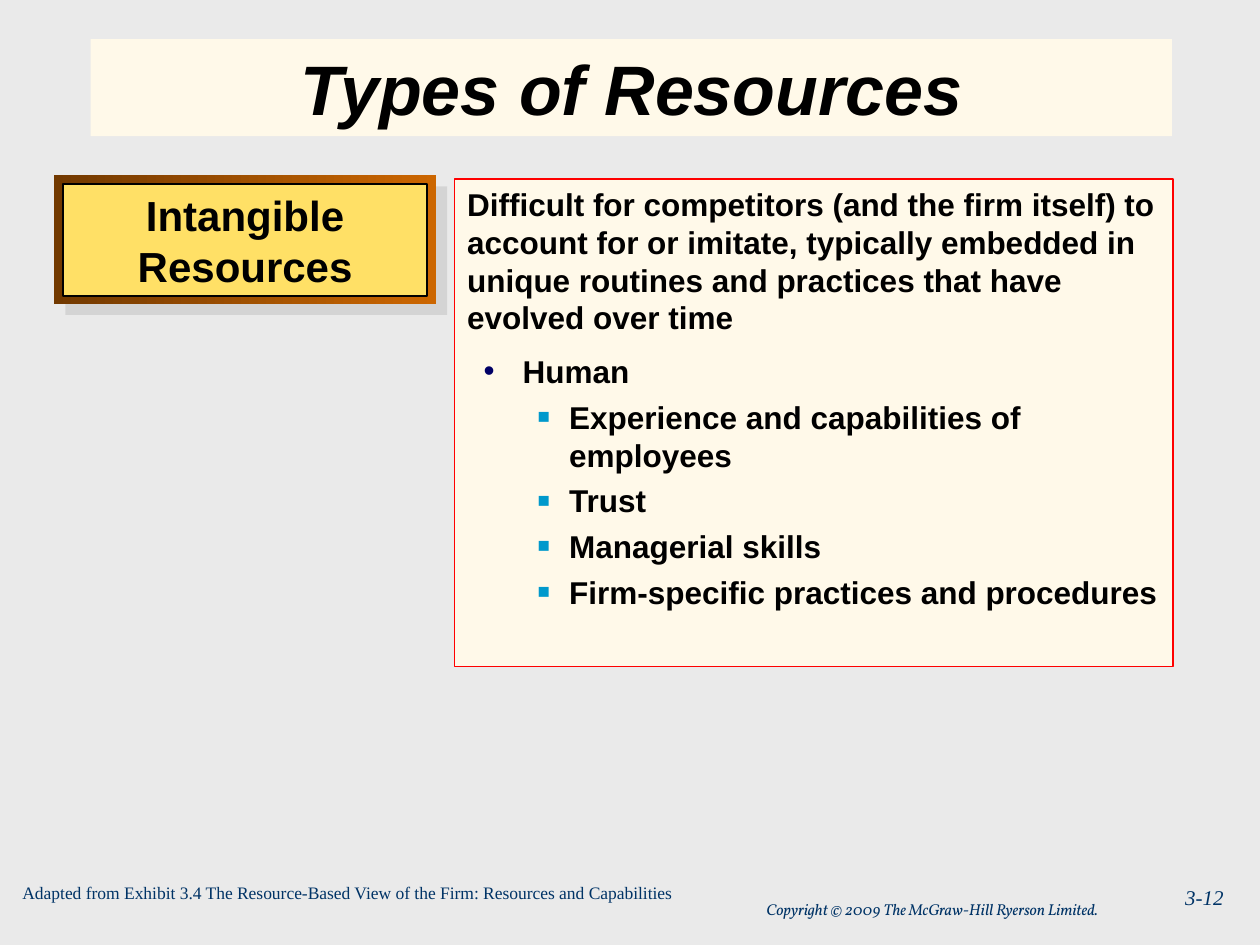
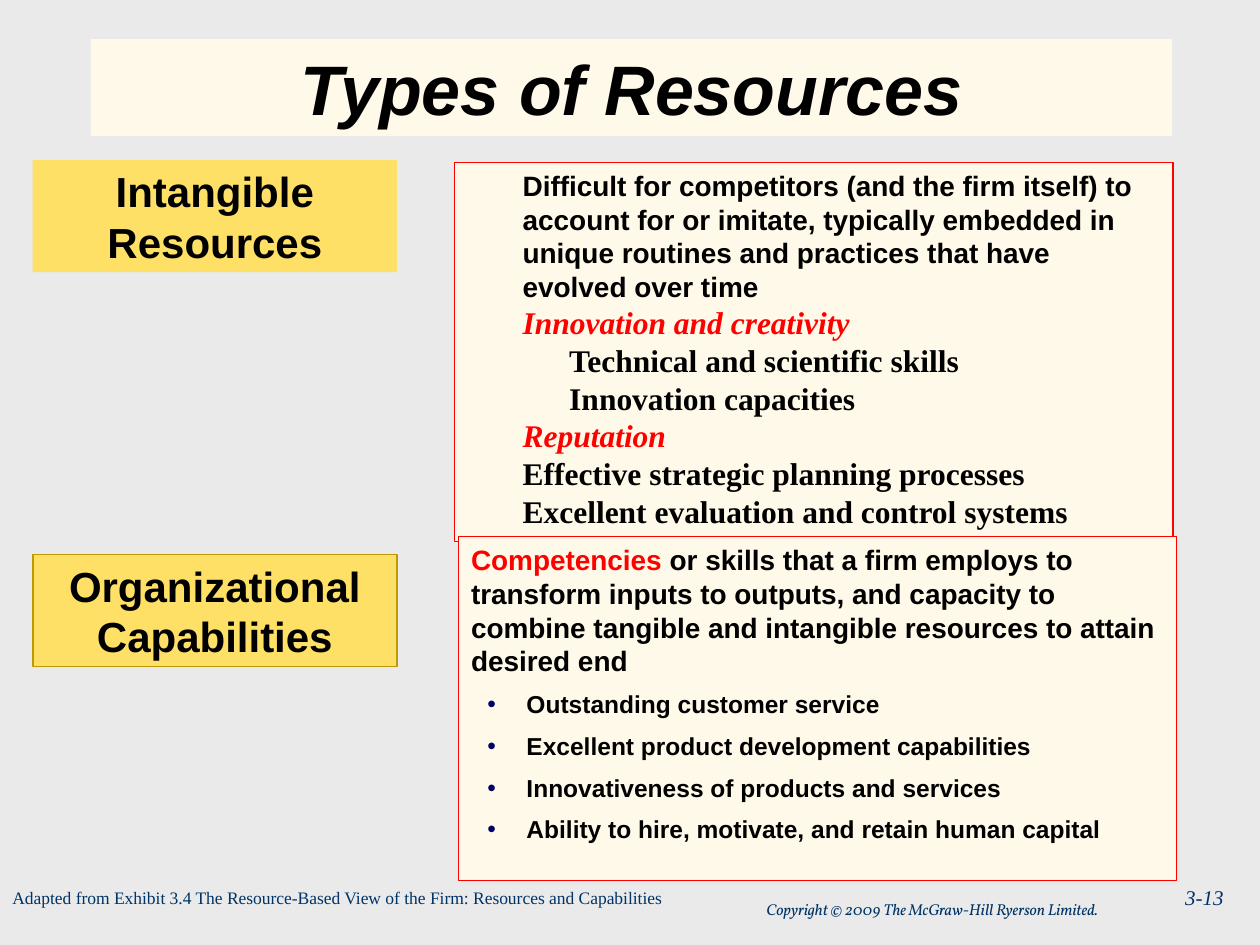
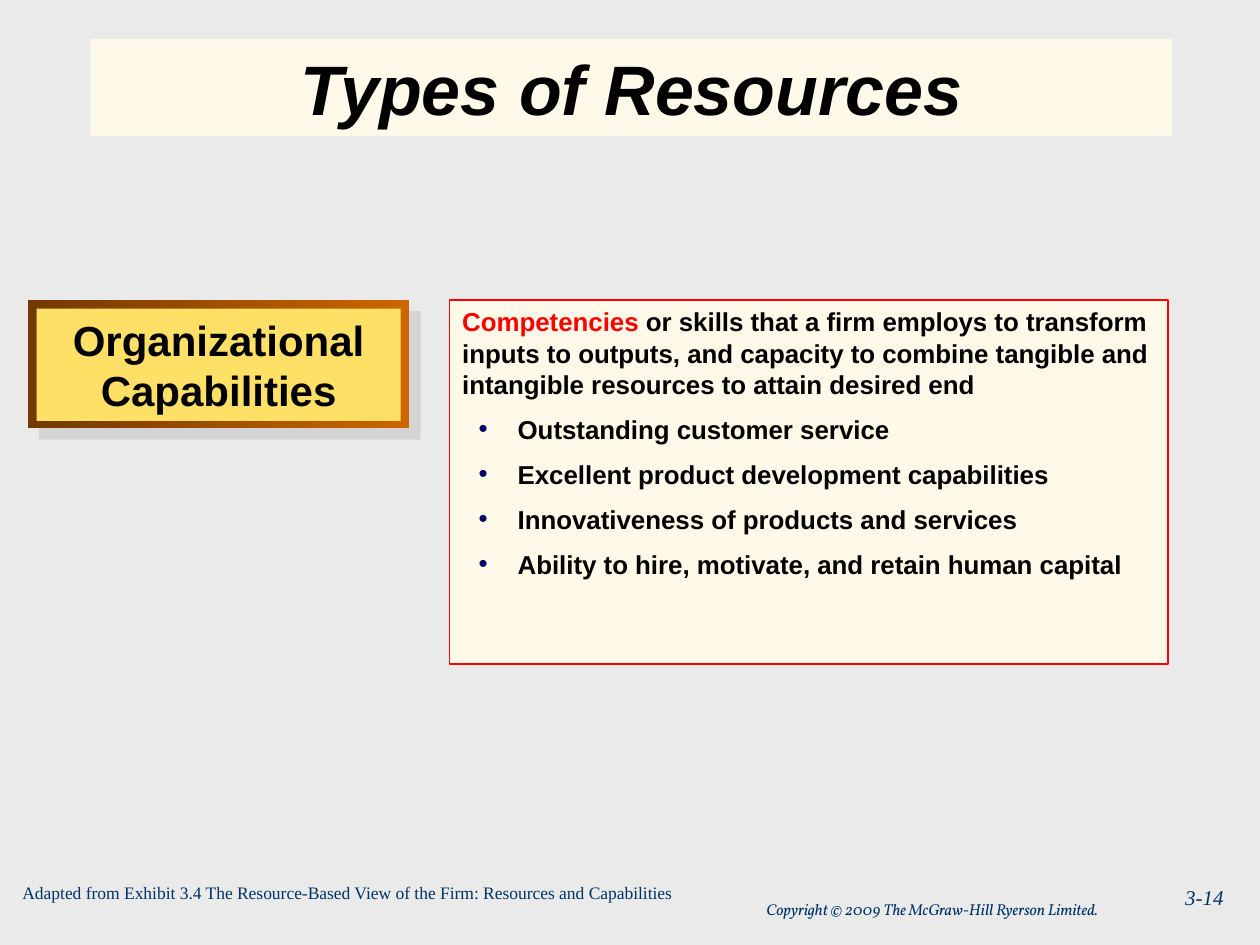
import pptx
import pptx.dml.color
import pptx.enum.shapes
import pptx.enum.text
import pptx.oxml
import pptx.oxml.ns
import pptx.util
from lxml import etree

Inches = pptx.util.Inches
Pt = pptx.util.Pt
RGBColor = pptx.dml.color.RGBColor
ALIGN = pptx.enum.text.PP_ALIGN
ANCHOR = pptx.enum.text.MSO_ANCHOR
RECTANGLE = pptx.enum.shapes.MSO_SHAPE.RECTANGLE
qn = pptx.oxml.ns.qn

BACKGROUND = RGBColor(0xEA, 0xEA, 0xEA)
CREAM = RGBColor(0xFF, 0xF9, 0xE9)
YELLOW = RGBColor(0xFF, 0xE0, 0x66)
GOLD = RGBColor(0xBF, 0x99, 0x00)
BROWN = RGBColor(0x72, 0x39, 0x00)
ORANGE = RGBColor(0xCC, 0x66, 0x00)
SHADOW = RGBColor(0xC0, 0xC0, 0xC0)
RED = RGBColor(0xFF, 0x00, 0x00)
BLACK = RGBColor(0x00, 0x00, 0x00)
NAVY = RGBColor(0x00, 0x33, 0x66)
DOT_BLUE = RGBColor(0x00, 0x00, 0x66)
SQUARE_BLUE = RGBColor(0x00, 0x99, 0xCC)

SANS = "Arial"
SERIF = "Times New Roman"
COPYRIGHT_FONT = "Vollkorn"

# Level: left margin in inches
MARGINS = {0: 0, 1: 0.44, 2: 0.81}
# Level: hanging indent in inches, character, colour, size in percent
BULLETS = {1: (0.31, "•", DOT_BLUE, 100), 2: (0.25, "■", SQUARE_BLUE, 65)}

INTANGIBLE = ("Difficult for competitors (and the firm itself) to account for or "
              "imitate, typically embedded in unique routines and practices that "
              "have evolved over time")
CAPABILITIES = ("or skills that a firm employs to transform inputs to outputs, and "
                "capacity to combine tangible and intangible resources to attain "
                "desired end")
CAPABILITY_EXAMPLES = (
    "Outstanding customer service",
    "Excellent product development capabilities",
    "Innovativeness of products and services",
    "Ability to hire, motivate, and retain human capital",
)


def add_bullet(para, level):
    hanging, character, color, percent = BULLETS[level]
    properties = para._p.get_or_add_pPr()
    properties.set("indent", str(-Inches(hanging)))
    holder = etree.SubElement(properties, qn("a:buClr"))
    etree.SubElement(holder, qn("a:srgbClr"), val=str(color))
    etree.SubElement(properties, qn("a:buSzPct"), val=str(percent * 1000))
    etree.SubElement(properties, qn("a:buFont"), typeface=SANS)
    etree.SubElement(properties, qn("a:buChar"), char=character)


def add_text(frame, text, *, size, font=SANS, color=BLACK, bold=False, italic=False,
             align=ALIGN.LEFT, level=0, bullet=False, space=0, lead=""):
    """Add a paragraph, opened by the red words in lead."""
    first = not frame.paragraphs[0].runs
    para = frame.paragraphs[0] if first else frame.add_paragraph()
    para.level = level
    properties = para._p.get_or_add_pPr()
    properties.set("marL", str(Inches(MARGINS[level])))
    properties.set("indent", "0")
    if bullet:
        add_bullet(para, level)
    para.alignment = align
    para.space_before = Pt(0 if first else space)
    for words, shade in ((lead, RED), (text, color)):
        if words:
            span = para.add_run()
            span.text = words
            span.font.name = font
            span.font.size = Pt(size)
            span.font.bold = bold
            span.font.italic = italic
            span.font.color.rgb = shade


def add_rectangle(shapes, left, top, width, height, fill=None, line=None, weight=0.75):
    box = shapes.add_shape(RECTANGLE, Inches(left), Inches(top),
                           Inches(width), Inches(height))
    box.shadow.inherit = False
    if fill is not None:
        box.fill.solid()
        box.fill.fore_color.rgb = fill
    if line is None:
        box.line.fill.background()
    else:
        box.line.color.rgb = line
        box.line.width = Pt(weight)
    return box


def add_label(page, left, top, width, text, right_inset=0.1, **style):
    box = page.shapes.add_textbox(Inches(left), Inches(top), Inches(width), Inches(0.27))
    box.text_frame.word_wrap = True
    box.text_frame.margin_right = Inches(right_inset)
    add_text(box.text_frame, text, color=NAVY, **style)


def add_panel(page, left, top, height):
    """Add a cream box with a red border and return its text frame."""
    box = add_rectangle(page.shapes, left, top, 5.7, height, fill=CREAM, line=RED)
    box.text_frame.vertical_anchor = ANCHOR.TOP
    return box.text_frame


def add_plaque(shapes, left, top, text, line=None):
    box = add_rectangle(shapes, left, top, 2.89, 0.89, fill=YELLOW, line=line, weight=1)
    box.text_frame.vertical_anchor = ANCHOR.MIDDLE
    add_text(box.text_frame, text, size=24, bold=True, align=ALIGN.CENTER)


def add_framed_plaque(page, left, top, text, line=None):
    """Add a plaque in a brown frame that casts an offset shadow."""
    shapes = page.shapes.add_group_shape().shapes
    shadow = add_rectangle(shapes, left + 0.09, top + 0.09, 3.03, 1.02, fill=SHADOW)
    color = shadow._element.spPr.find(qn("a:solidFill")).find(qn("a:srgbClr"))
    etree.SubElement(color, qn("a:alpha"), val="50000")
    frame = add_rectangle(shapes, left, top, 3.03, 1.02)
    frame.fill.gradient()
    frame.fill.gradient_angle = 0
    for stop, shade in zip(frame.fill.gradient_stops, (BROWN, ORANGE)):
        stop.color.rgb = shade
    add_plaque(shapes, left + 0.07, top + 0.07, text, line)


def add_capabilities(frame, size, example_size, space):
    add_text(frame, CAPABILITIES, lead="Competencies ", size=size, bold=True)
    for example in CAPABILITY_EXAMPLES:
        add_text(frame, example, size=example_size, bold=True, level=1,
                 bullet=True, space=space)


def add_page(deck, number, source_left=0.08, source_top=6.95):
    """Add a page with the shared title, source line, copyright and number."""
    page = deck.slides.add_slide(deck.slide_layouts[5])
    title = page.shapes.title
    title.left, title.top = Inches(0.72), Inches(0.31)
    title.width, title.height = Inches(8.58), Inches(0.77)
    title.fill.solid()
    title.fill.fore_color.rgb = CREAM
    title.text_frame.auto_size = pptx.enum.text.MSO_AUTO_SIZE.NONE
    title.text_frame.vertical_anchor = ANCHOR.BOTTOM
    add_text(title.text_frame, "Types of Resources", size=40, bold=True, italic=True,
             align=ALIGN.CENTER)
    add_label(page, 8.14, 6.97, 1.67, f"3-{number}", size=12, font=SERIF,
              italic=True, align=ALIGN.RIGHT)
    add_label(page, 4.26, 7.09, 4.58, "Copyright © 2009 The McGraw-Hill Ryerson Limited.",
              right_inset=0.13, size=9, font=COPYRIGHT_FONT, italic=True,
              align=ALIGN.RIGHT)
    add_label(page, source_left, source_top, 7.76,
              "Adapted from Exhibit 3.4 The Resource-Based View of the Firm: "
              "Resources and Capabilities", size=10, font=SERIF)
    return page


def add_human_resources_page(deck):
    page = add_page(deck, 12)
    frame = add_panel(page, 3.61, 1.42, 3.87)
    add_text(frame, INTANGIBLE, size=18, bold=True)
    add_text(frame, "Human", size=18, bold=True, level=1, bullet=True, space=9)
    for example in ("Experience and capabilities of employees", "Trust",
                    "Managerial skills", "Firm-specific practices and procedures"):
        add_text(frame, example, size=18, bold=True, level=2, bullet=True, space=4.5)
    add_framed_plaque(page, 0.43, 1.39, "Intangible Resources", line=BLACK)


def add_overview_page(deck):
    page = add_page(deck, 13, source_left=0, source_top=6.99)
    frame = add_panel(page, 3.61, 1.29, 3.01)
    add_text(frame, INTANGIBLE, size=16, bold=True, level=1)
    for text, level, is_heading in (
        ("Innovation and creativity", 1, True),
        ("Technical and scientific skills", 2, False),
        ("Innovation capacities", 2, False),
        ("Reputation", 1, True),
        ("Effective strategic planning processes", 1, False),
        ("Excellent evaluation and control systems", 1, False),
    ):
        add_text(frame, text, size=18, font=SERIF, bold=True, italic=is_heading,
                 color=RED if is_heading else BLACK, level=level)
    add_plaque(page.shapes, 0.26, 4.4, "Organizational Capabilities", line=GOLD)
    add_plaque(page.shapes, 0.26, 1.27, "Intangible Resources")
    add_capabilities(add_panel(page, 3.64, 4.26, 2.73), 16, 14, 7)


def add_capabilities_page(deck):
    page = add_page(deck, 14)
    add_capabilities(add_panel(page, 3.57, 2.38, 2.89), 14.8, 14.8, 8)
    add_framed_plaque(page, 0.22, 2.38, "Organizational Capabilities")


def main():
    deck = pptx.Presentation()
    deck.slide_width, deck.slide_height = Inches(10), Inches(7.5)
    background = deck.slide_master.background.fill
    background.solid()
    background.fore_color.rgb = BACKGROUND
    add_human_resources_page(deck)
    add_overview_page(deck)
    add_capabilities_page(deck)
    deck.save("out.pptx")


if __name__ == "__main__":
    main()
